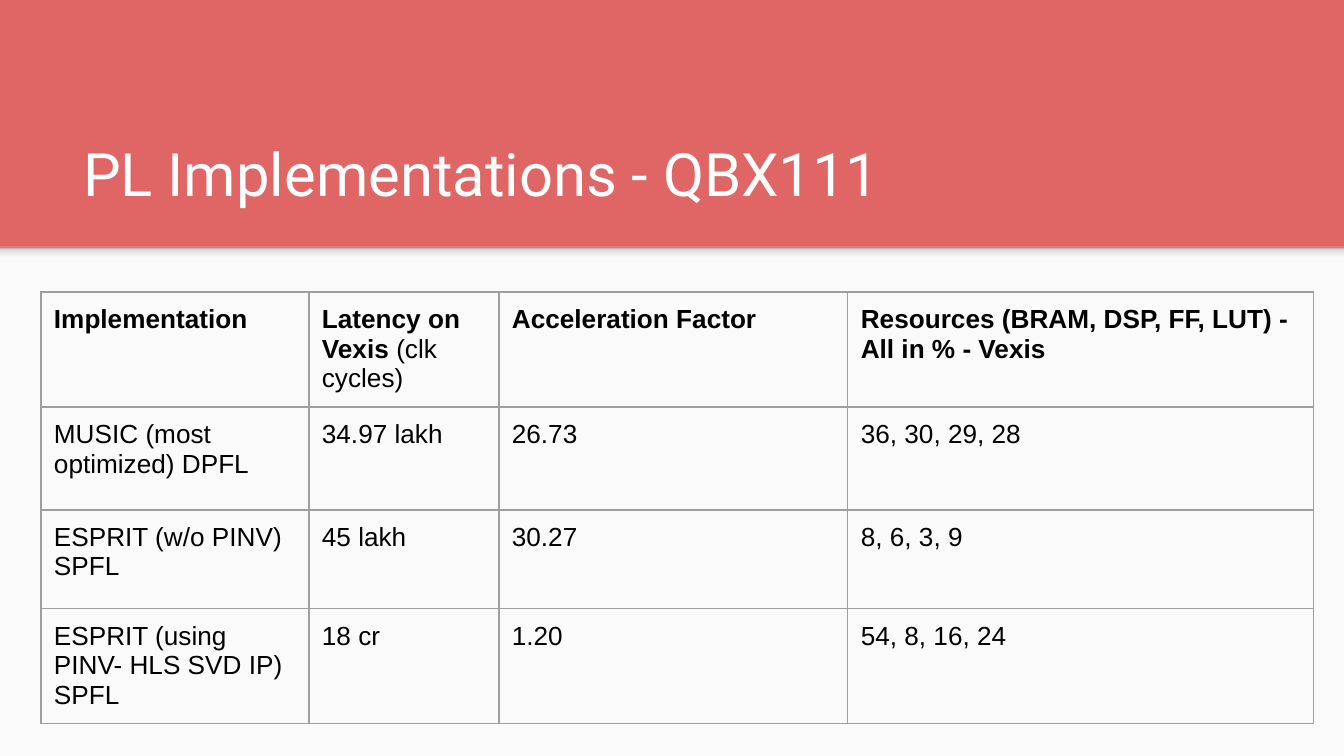
from copy import deepcopy
from dataclasses import dataclass

from pptx import Presentation
from pptx.dml.color import RGBColor
from pptx.enum.shapes import MSO_SHAPE
from pptx.enum.text import MSO_ANCHOR, MSO_AUTO_SIZE, PP_ALIGN
from pptx.oxml.ns import qn
from pptx.oxml.xmlchemy import OxmlElement
from pptx.util import Pt

RECTANGLE = MSO_SHAPE.RECTANGLE
BOTTOM = MSO_ANCHOR.BOTTOM
TOP = MSO_ANCHOR.TOP
LEFT = PP_ALIGN.LEFT
NO_AUTOFIT = MSO_AUTO_SIZE.NONE

EMU_PER_PX = 914400 / 134.4
SLIDE_WIDTH, SLIDE_HEIGHT = 1344, 756
BAND_HEIGHT = 247
INSET = 13
TITLE_ONLY = 5


@dataclass(frozen=True)
class Theme:
    """Colours, fonts and type sizes of the slide."""

    band: str = "E06666"
    panel: str = "FAFAFA"
    title: str = "FFFFFF"
    text: str = "000000"
    border: str = "9E9E9E"
    shadow: tuple = ((0, "F9F9F9"), (0.36, "F9F9F9"), (0.8, "DEDEDE"), (1, "999999"))
    title_font: str = "Roboto"
    table_font: str = "Arial"
    title_size: int = 32
    table_size: int = 14
    border_width: float = 0.75


THEME = Theme()

COLUMN_WIDTHS = (268, 190, 349, 466)
ROW_HEIGHTS = (115, 103, 99, 115)
HEADER = (
    ("Implementation", ""),
    ("Latency on Vexis ", "(clk cycles)"),
    ("Acceleration Factor", ""),
    ("Resources (BRAM, DSP, FF, LUT) - All in % - Vexis", ""),
)
RESULTS = (
    ("MUSIC (most optimized) DPFL", "34.97 lakh", "26.73", "36, 30, 29, 28"),
    ("ESPRIT (w/o PINV) SPFL", "45 lakh", "30.27", "8, 6, 3, 9"),
    ("ESPRIT (using PINV- HLS SVD IP) SPFL", "18 cr", "1.20", "54, 8, 16, 24"),
)


def px(length):
    """Turn pixels into EMU."""
    return round(length * EMU_PER_PX)


def rgb(code):
    """Turn a hex code into a colour."""
    return RGBColor.from_string(code)


def style_run(run, font, size, color, bold=False):
    """Format one run of text."""
    run.font.name = font
    run.font.size = Pt(size)
    run.font.color.rgb = rgb(color)
    run.font.bold = bold


def set_insets(box):
    """Give a cell or text frame equal margins."""
    box.margin_left = box.margin_right = px(INSET)
    box.margin_top = box.margin_bottom = px(INSET)


def add_rectangle(slide, top, height):
    """Add a full-width rectangle without line or shadow."""
    rectangle = slide.shapes.add_shape(
        RECTANGLE, 0, px(top), px(SLIDE_WIDTH), px(height)
    )
    rectangle.shadow.inherit = False
    rectangle.line.fill.background()
    return rectangle


def add_panel(slide):
    """Add the light panel below the title band."""
    panel = add_rectangle(slide, BAND_HEIGHT, SLIDE_HEIGHT - BAND_HEIGHT)
    panel.fill.solid()
    panel.fill.fore_color.rgb = rgb(THEME.panel)


def add_band_shadow(slide):
    """Add the gradient strip that the band casts on the panel."""
    strip = add_rectangle(slide, BAND_HEIGHT, 16)
    strip.fill.gradient()
    strip.fill.gradient_angle = 90
    stop_list = next(strip.element.spPr.iter(qn("a:gsLst")))
    while len(stop_list) < len(THEME.shadow):
        stop_list.append(deepcopy(stop_list[0]))
    for stop, (position, color) in zip(strip.fill.gradient_stops, THEME.shadow):
        stop.position = position
        stop.color.rgb = rgb(color)


def set_title(slide, wording):
    """Place and format the title."""
    title = slide.shapes.title
    title.left, title.top, title.width, title.height = map(px, (70, 109, 1208, 113))
    frame = title.text_frame
    frame.text = wording
    frame.word_wrap = True
    frame.auto_size = NO_AUTOFIT
    frame.vertical_anchor = BOTTOM
    set_insets(frame)
    paragraph = frame.paragraphs[0]
    paragraph.alignment = LEFT
    style_run(paragraph.runs[0], THEME.title_font, THEME.title_size, THEME.title)


def set_borders(cell):
    """Draw a thin line on each side of a cell."""
    properties = cell._tc.get_or_add_tcPr()
    for index, side in enumerate(("a:lnL", "a:lnR", "a:lnT", "a:lnB")):
        line = OxmlElement(side)
        line.set("w", str(Pt(THEME.border_width)))
        fill = OxmlElement("a:solidFill")
        color = OxmlElement("a:srgbClr")
        color.set("val", THEME.border)
        fill.append(color)
        line.append(fill)
        properties.insert(index, line)


def fill_cell(cell, bold_part, plain_part):
    """Write a cell from a bold part and a plain part."""
    cell.fill.background()
    cell.vertical_anchor = TOP
    set_insets(cell)
    set_borders(cell)
    paragraph = cell.text_frame.paragraphs[0]
    for wording, bold in ((bold_part, True), (plain_part, False)):
        if wording:
            run = paragraph.add_run()
            run.text = wording
            style_run(run, THEME.table_font, THEME.table_size, THEME.text, bold)


def add_results_table(slide):
    """Add the table of implementations."""
    rows = [HEADER] + [[("", value) for value in result] for result in RESULTS]
    table = slide.shapes.add_table(
        len(rows), len(HEADER), px(41), px(292),
        px(sum(COLUMN_WIDTHS)), px(sum(ROW_HEIGHTS)),
    ).table
    table.first_row = table.horz_banding = False
    for column, width in zip(table.columns, COLUMN_WIDTHS):
        column.width = px(width)
    for row, height, contents in zip(table.rows, ROW_HEIGHTS, rows):
        row.height = px(height)
        for cell, parts in zip(row.cells, contents):
            fill_cell(cell, *parts)


def main():
    """Build and save the slide."""
    deck = Presentation()
    deck.slide_width, deck.slide_height = px(SLIDE_WIDTH), px(SLIDE_HEIGHT)
    slide = deck.slides.add_slide(deck.slide_layouts[TITLE_ONLY])
    slide.background.fill.solid()
    slide.background.fill.fore_color.rgb = rgb(THEME.band)
    add_panel(slide)
    add_band_shadow(slide)
    set_title(slide, "PL Implementations - QBX111")
    add_results_table(slide)
    deck.save("out.pptx")


if __name__ == "__main__":
    main()
